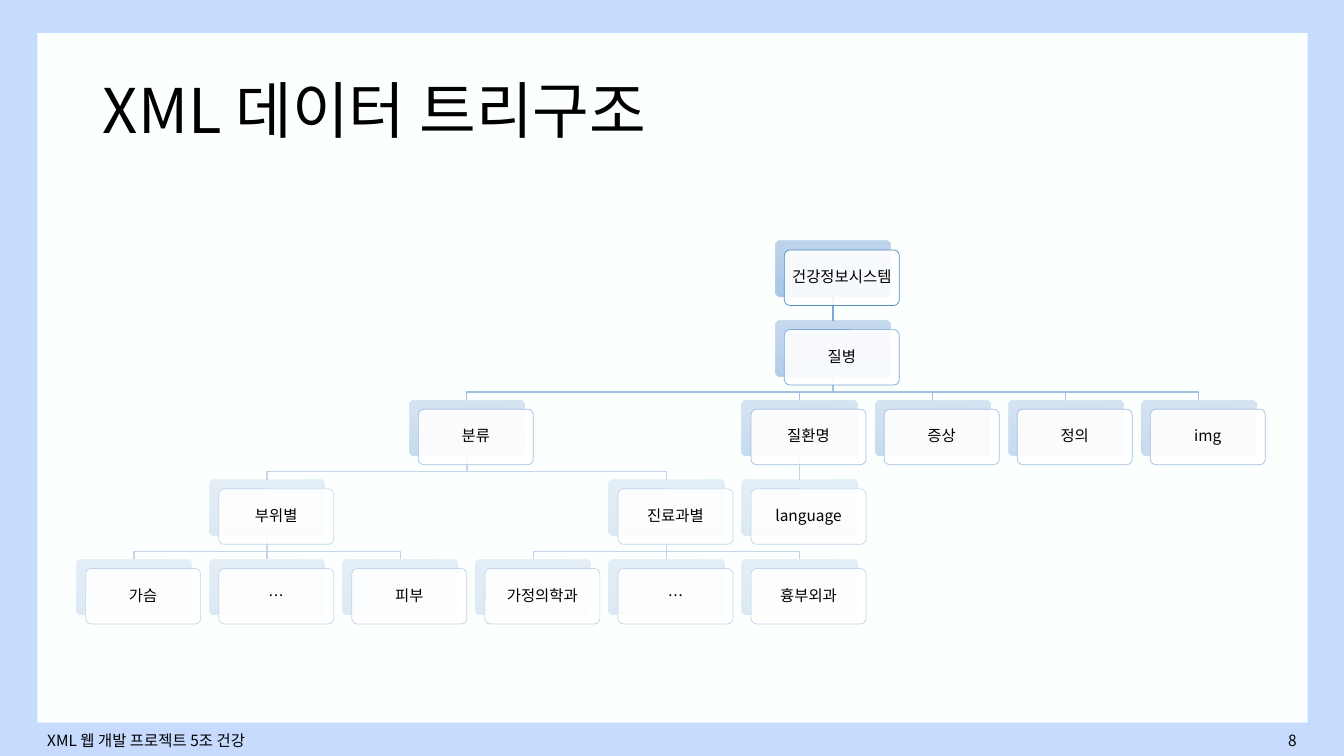
from dataclasses import dataclass
from typing import Any

from lxml.etree import SubElement
from pptx import Presentation
from pptx.dml.color import RGBColor
from pptx.enum.dml import MSO_FILL
from pptx.enum.shapes import MSO_CONNECTOR, MSO_SHAPE
from pptx.enum.text import MSO_ANCHOR, MSO_AUTO_SIZE, PP_ALIGN
from pptx.oxml.ns import qn
from pptx.shapes.autoshape import Shape
from pptx.slide import Slide
from pptx.util import Emu, Pt

PX = 9144  # EMU, 100 px to the inch
FONT = "Noto Sans CJK KR"

BLACK = RGBColor(0x00, 0x00, 0x00)
WHITE = RGBColor(0xFF, 0xFF, 0xFF)
FRAME = RGBColor(0xC6, 0xDB, 0xFE)
PANEL = RGBColor(0xFB, 0xFF, 0xFD)
BACK_STOPS = (
    (0, RGBColor(0xB1, 0xCB, 0xE9)),
    (50, RGBColor(0xA3, 0xC1, 0xE5)),
    (100, RGBColor(0x93, 0xB9, 0xE4)),
)

CARD_WIDTH, CARD_HEIGHT, CARD_SHIFT = 114, 55, 9
TREE_LEFT, TREE_TOP = 76, 239
COLUMN_PITCH, LEVEL_PITCH = 132, 79
LINK_DROP = 16


@dataclass(frozen=True)
class Level:
    line: RGBColor
    opacity: int


@dataclass(frozen=True)
class Node:
    label: str
    column: float
    children: tuple["Node", ...] = ()


@dataclass(frozen=True)
class Area:
    left: int
    top: int
    width: int
    height: int

    def emu(self) -> tuple[Emu, ...]:
        return tuple(Emu(n * PX) for n in (self.left, self.top, self.width, self.height))


LOWEST = Level(RGBColor(0xC4, 0xD5, 0xEB), 30)
LEVELS = (
    Level(RGBColor(0x53, 0x8D, 0xC1), 80),
    Level(RGBColor(0x7A, 0xA9, 0xDA), 70),
    Level(RGBColor(0xA5, 0xC0, 0xE3), 50),
    LOWEST,
    LOWEST,
)

BODY_PARTS = Node("부위별", 1, (Node("가슴", 0), Node("…", 1), Node("피부", 2)))
DEPARTMENTS = Node("진료과별", 4, (Node("가정의학과", 3), Node("…", 4), Node("흉부외과", 5)))
DISEASE = Node("질병", 5.25, (
    Node("분류", 2.5, (BODY_PARTS, DEPARTMENTS)),
    Node("질환명", 5, (Node("language", 5),)),
    Node("증상", 6),
    Node("정의", 7),
    Node("img", 8),
))
TREE = Node("건강정보시스템", 5.25, (DISEASE,))

FRAME_FORMAT = {"word_wrap": True, "auto_size": MSO_AUTO_SIZE.NONE,
                "vertical_anchor": MSO_ANCHOR.MIDDLE}
CARD_MARGINS = {f"margin_{side}": Emu(5 * PX) for side in ("left", "top", "right", "bottom")}


def apply(target: Any, values: dict[str, Any]) -> None:
    for name, value in values.items():
        setattr(target, name, value)


def write(box: Shape, text: str, size: int, align: PP_ALIGN, spacing: float = 1.0) -> None:
    apply(box.text_frame, FRAME_FORMAT)
    para = box.text_frame.paragraphs[0]
    apply(para, {"alignment": align, "line_spacing": spacing})
    span = para.add_run()
    span.text = text
    apply(span.font, {"size": Pt(size), "name": FONT})
    span.font.color.rgb = BLACK
    SubElement(span.font._element, qn("a:ea"), typeface=FONT)


def add_alpha(color: Any, percent: int) -> None:
    SubElement(color, qn("a:alpha"), val=str(percent * 1000))


def add_card(page: Slide, area: Area) -> Shape:
    card = page.shapes.add_shape(MSO_SHAPE.ROUNDED_RECTANGLE, *area.emu())
    card.adjustments[0] = 0.1
    card.shadow.inherit = False
    return card


def add_back(page: Slide, area: Area, level: Level) -> Shape:
    back = add_card(page, area)
    back.line.fill.background()
    back.fill.gradient()
    back.fill.gradient_angle = 270
    stops = back.element.spPr.find(".//" + qn("a:gsLst"))
    for stop in list(stops):
        stops.remove(stop)
    for position, color in BACK_STOPS:
        stop = SubElement(stops, qn("a:gs"), pos=str(position * 1000))
        add_alpha(SubElement(stop, qn("a:srgbClr"), val=str(color)), level.opacity)
    return back


def add_front(page: Slide, area: Area, level: Level, label: str) -> None:
    front = add_card(page, area)
    front.fill.solid()
    front.fill.fore_color.rgb = WHITE
    add_alpha(front.element.spPr.find(qn("a:solidFill") + "/" + qn("a:srgbClr")), 90)
    front.line.color.rgb = level.line
    front.line.width = Pt(0.5)
    apply(front.text_frame, CARD_MARGINS)
    write(front, label, 11, PP_ALIGN.CENTER, 0.9)


def add_link(page: Slide, parent: Shape, child: Shape, color: RGBColor) -> None:
    """Join two cards: straight in one column, with an elbow otherwise."""
    start_x, end_x = (card.left + card.width // 2 for card in (parent, child))
    start_y, end_y = parent.top + parent.height, child.top
    if start_x == end_x:
        link = page.shapes.add_connector(
            MSO_CONNECTOR.STRAIGHT, start_x, start_y, end_x, end_y)
        link.begin_connect(parent, 2)
        link.end_connect(child, 0)
    else:
        bend_y = start_y + LINK_DROP * PX
        outline = page.shapes.build_freeform(start_x, start_y)
        outline.add_line_segments(
            [(start_x, bend_y), (end_x, bend_y), (end_x, end_y)], close=False)
        link = outline.convert_to_shape()
        link.fill.background()
    link.line.color.rgb = color
    link.line.width = Pt(1)
    SubElement(link.element.spPr, qn("a:effectLst"))


def add_branch(page: Slide, node: Node, depth: int = 0) -> Shape:
    """Draw a node with everything below it and return its back card."""
    left = TREE_LEFT + round(COLUMN_PITCH * node.column)
    top = TREE_TOP + LEVEL_PITCH * depth
    level = LEVELS[depth]
    back = add_back(page, Area(left, top, CARD_WIDTH, CARD_HEIGHT), level)
    for child in node.children:
        child_back = add_branch(page, child, depth + 1)
        add_link(page, back, child_back, LEVELS[depth + 1].line)
    front_area = Area(left + CARD_SHIFT, top + CARD_SHIFT, CARD_WIDTH, CARD_HEIGHT)
    add_front(page, front_area, level, node.label)
    return back


def add_panel(page: Slide) -> None:
    panel = page.shapes.add_shape(MSO_SHAPE.RECTANGLE, *Area(37, 33, 1260, 684).emu())
    panel.shadow.inherit = False
    panel.fill.solid()
    panel.fill.fore_color.rgb = PANEL
    panel.line.fill.background()
    page.shapes.element.insert(2, panel.element)  # behind the title


def main() -> None:
    deck = Presentation()
    apply(deck, {"slide_width": Emu(1333 * PX), "slide_height": Emu(750 * PX)})
    page = deck.slides.add_slide(deck.slide_layouts.get_by_name("Title Only"))
    page.background.fill.solid()
    page.background.fill.fore_color.rgb = FRAME
    add_panel(page)

    title = page.shapes.title
    apply(title, dict(zip(("left", "top", "width", "height"), Area(92, 40, 1150, 145).emu())))
    write(title, "XML 데이터 트리구조", 44, PP_ALIGN.LEFT, 0.9)
    page_number = page.shapes.add_textbox(*Area(996, 718, 300, 32).emu())
    write(page_number, "8", 11, PP_ALIGN.RIGHT)
    footer = page.shapes.add_textbox(*Area(37, 718, 450, 32).emu())
    write(footer, "XML 웹 개발 프로젝트 5조 건강", 11, PP_ALIGN.LEFT)

    add_branch(page, TREE)
    deck.save("out.pptx")


if __name__ == "__main__":
    main()
